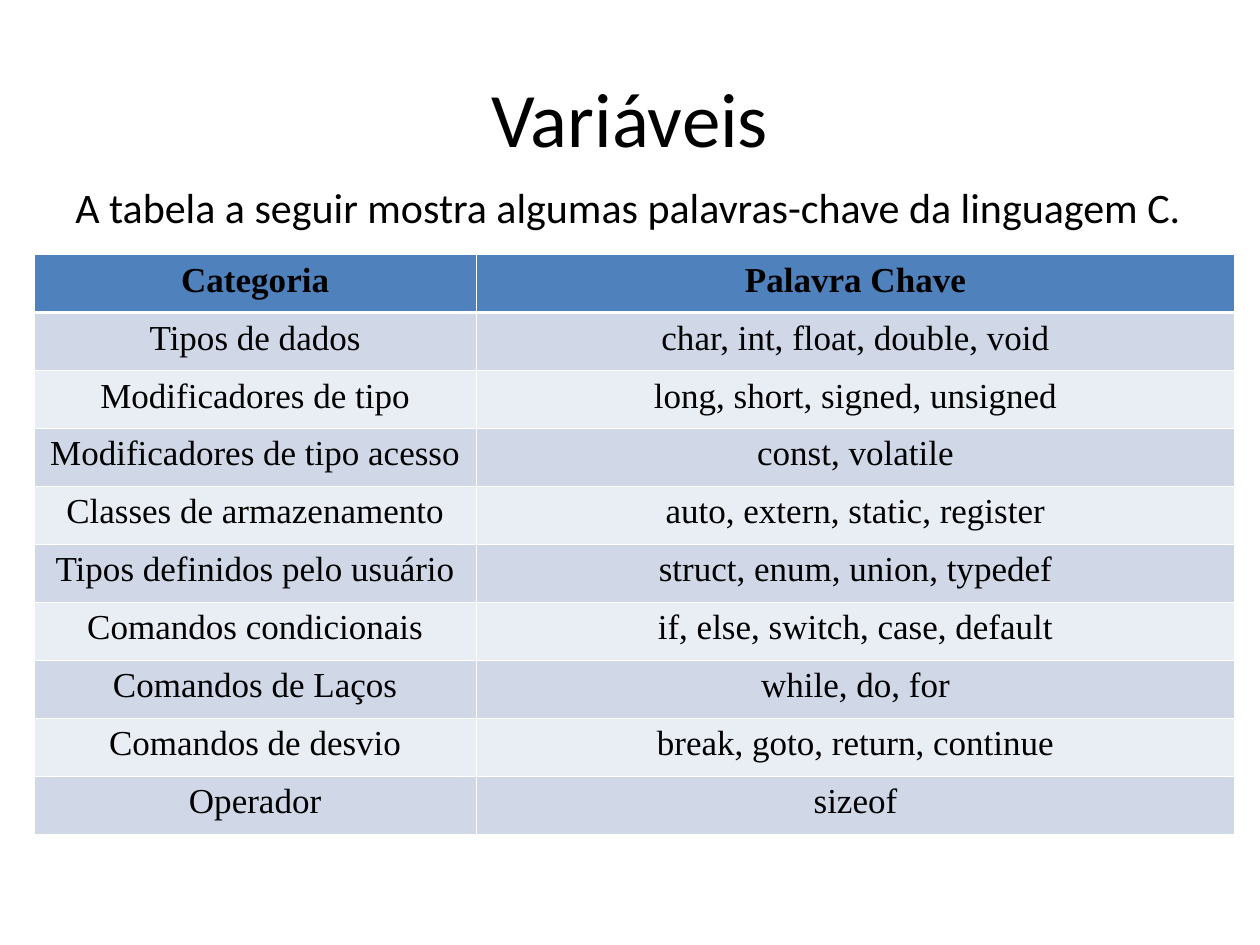
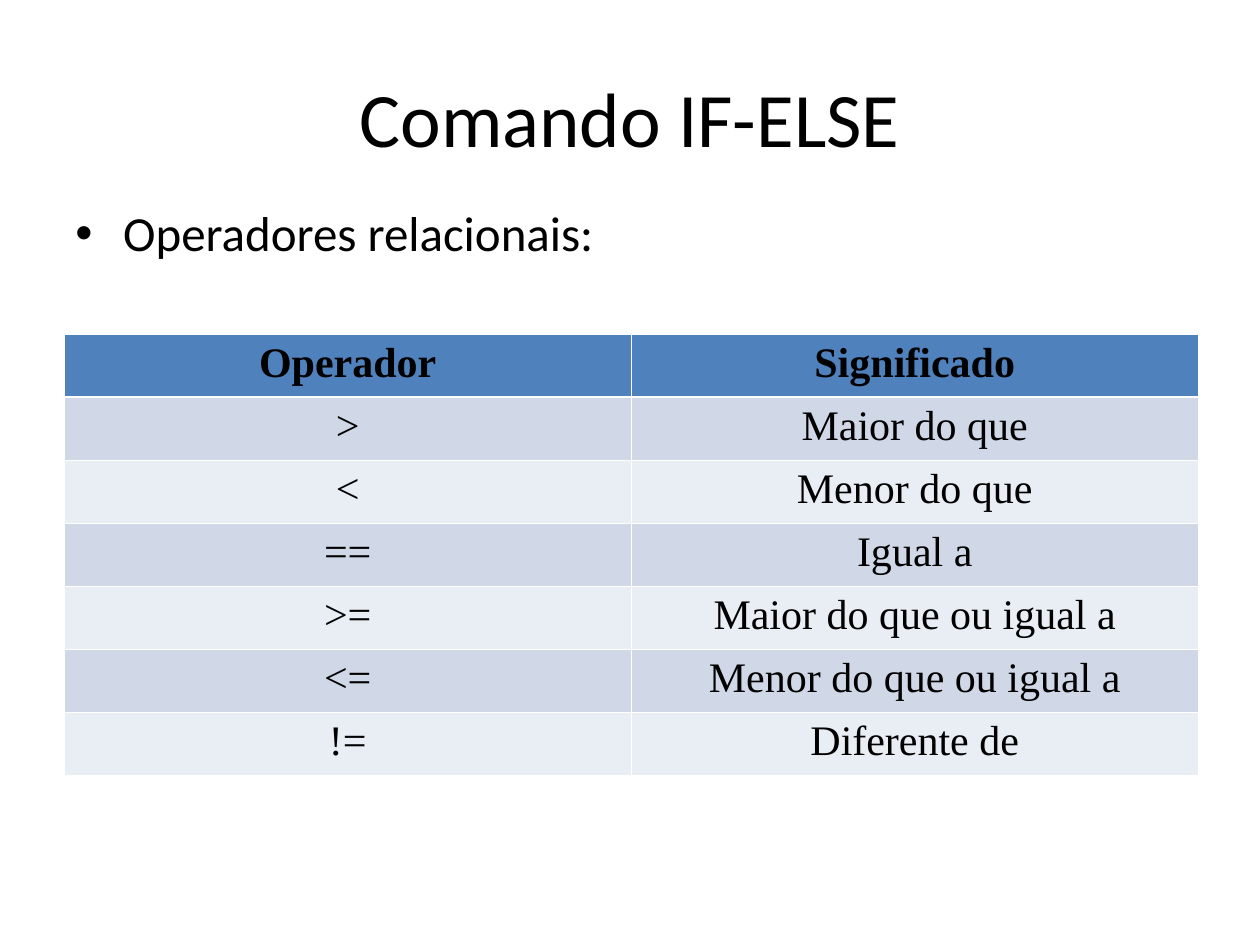
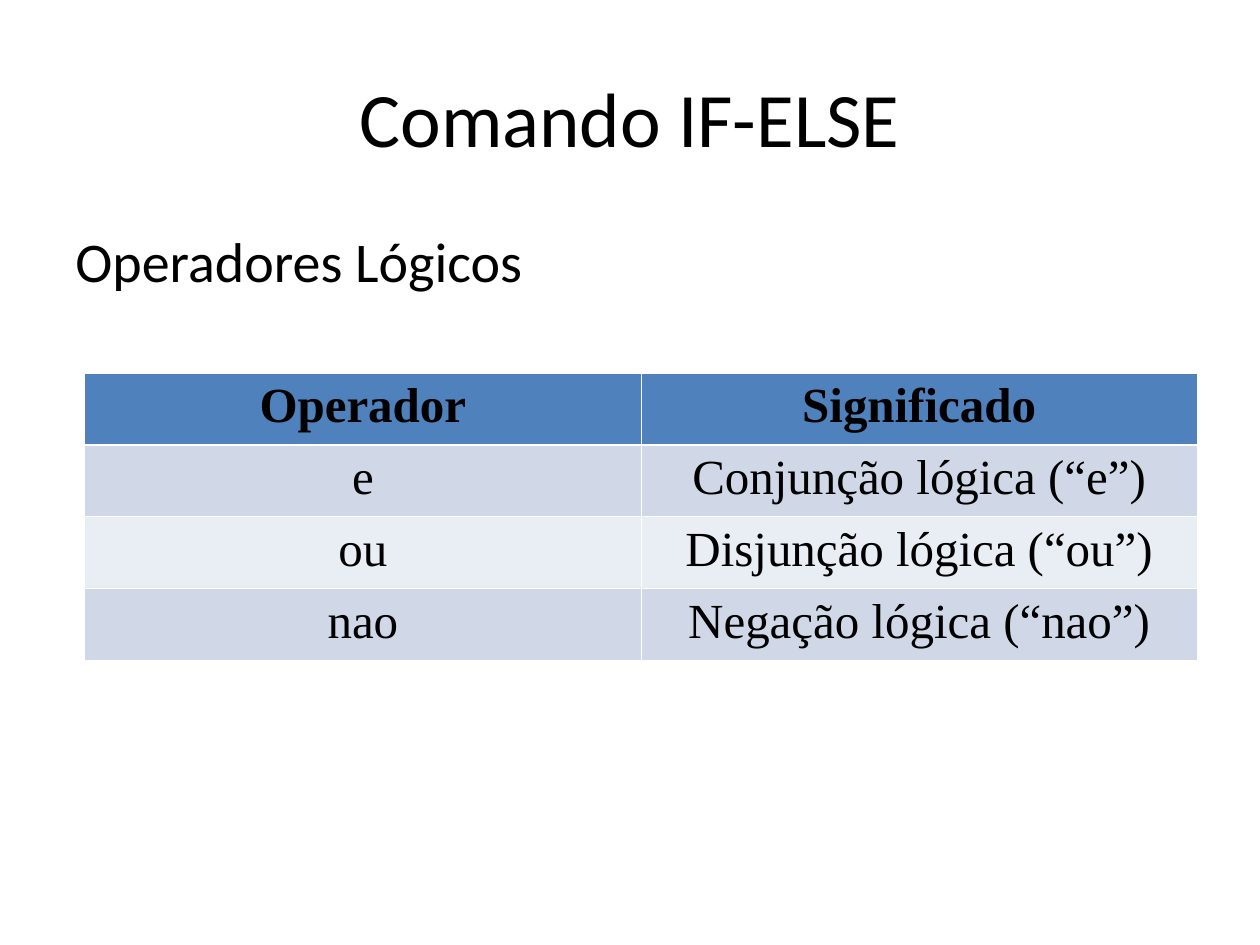
"""Build three slides on C keywords and operators, each with a title, a lead line and a table."""
from lxml.etree import SubElement
from pptx import Presentation
from pptx.dml.color import RGBColor
from pptx.enum.text import MSO_ANCHOR, PP_ALIGN
from pptx.oxml.ns import qn
from pptx.util import Inches, Pt

BLACK, WHITE = "000000", "FFFFFF"
HEADER_FILL = "4F81BD"
BAND_FILLS = ("D0D8E8", "E9EDF4")
THIN, THICK = 0.45, 1.47
TITLE_BOX = (0.5, 0.3, 9, 1.25)
TITLE_FORMAT = {"name": "Calibri", "size": Pt(44)}

SLIDES = [
    {
        "title": "Variáveis",
        "lead": "A tabela a seguir mostra algumas palavras-chave da linguagem C.",
        "lead_box": (0.5, 1.39, 9, 4.95), "lead_size": 24, "bullet": False,
        "table_at": (0.27, 2.02), "columns": (3.51, 6.02), "row_height": 0.46, "cell_size": 20,
        "rows": [
            ("Categoria", "Palavra Chave"),
            ("Tipos de dados", "char, int, float, double, void"),
            ("Modificadores de tipo", "long, short, signed, unsigned"),
            ("Modificadores de tipo acesso", "const, volatile"),
            ("Classes de armazenamento", "auto, extern, static, register"),
            ("Tipos definidos pelo usuário", "struct, enum, union, typedef"),
            ("Comandos condicionais", "if, else, switch, case, default"),
            ("Comandos de Laços", "while, do, for"),
            ("Comandos de desvio", "break, goto, return, continue"),
            ("Operador", "sizeof"),
        ],
    },
    {
        "title": "Comando IF-ELSE",
        "lead": "Operadores relacionais:",
        "lead_box": (0.5, 1.56, 9, 4.95), "lead_size": 28, "bullet": True,
        "table_at": (0.51, 2.65), "columns": (4.5, 4.5), "row_height": 0.5, "cell_size": 24,
        "rows": [
            ("Operador", "Significado"),
            (">", "Maior do que"),
            ("<", "Menor do que"),
            ("==", "Igual a"),
            (">=", "Maior do que ou igual a"),
            ("<=", "Menor do que ou igual a"),
            ("!=", "Diferente de"),
        ],
    },
    {
        "title": "Comando IF-ELSE",
        "lead": "Operadores Lógicos",
        "lead_box": (0.5, 1.75, 9, 3.1), "lead_size": 32, "bullet": False,
        "table_at": (0.67, 2.96), "columns": (4.42, 4.41), "row_height": 0.57, "cell_size": 28,
        "rows": [
            ("Operador", "Significado"),
            ("e", "Conjunção lógica (“e”)"),
            ("ou", "Disjunção lógica (“ou”)"),
            ("nao", "Negação lógica (“nao”)"),
        ],
    },
]


def color(value):
    return RGBColor.from_string(value)


def write(frame, text, font_format, align=PP_ALIGN.LEFT):
    paragraph = frame.paragraphs[0]
    paragraph.alignment = align
    run = paragraph.add_run()
    run.text = text
    for name, value in font_format.items():
        setattr(run.font, name, value)
    run.font.color.rgb = color(BLACK)
    return paragraph


def add_text(slide, box, text, font_format, align=PP_ALIGN.LEFT, anchor=MSO_ANCHOR.TOP):
    frame = slide.shapes.add_textbox(*map(Inches, box)).text_frame
    frame.word_wrap = True
    frame.vertical_anchor = anchor
    return write(frame, text, font_format, align)


def add_bullet(paragraph):
    properties = paragraph._p.get_or_add_pPr()
    properties.set("marL", str(Inches(0.38)))
    properties.set("indent", str(Inches(-0.38)))
    SubElement(properties, qn("a:buFont"), typeface="Arial")
    SubElement(properties, qn("a:buChar"), char="•")


def add_borders(cell, top, bottom):
    properties = cell._tc.get_or_add_tcPr()
    for side, width in {"L": THIN, "R": THIN, "T": top, "B": bottom}.items():
        line = SubElement(properties, qn(f"a:ln{side}"), w=str(Pt(width)))
        fill = SubElement(line, qn("a:solidFill"))
        SubElement(fill, qn("a:srgbClr"), val=WHITE)


def add_table(slide, content):
    rows, widths, height = content["rows"], content["columns"], content["row_height"]
    box = (*content["table_at"], sum(widths), height * len(rows))
    table = slide.shapes.add_table(len(rows), len(widths), *map(Inches, box)).table
    for column, width in zip(table.columns, widths):
        column.width = Inches(width)
    for row_index, texts in enumerate(rows):
        table.rows[row_index].height = Inches(height)
        is_header = row_index == 0
        font_format = {"name": "Times New Roman", "size": Pt(content["cell_size"]), "bold": is_header}
        for column_index, text in enumerate(texts):
            cell = table.cell(row_index, column_index)
            add_borders(cell, THICK if row_index == 1 else THIN, THICK if is_header else THIN)
            cell.fill.solid()
            cell.fill.fore_color.rgb = color(HEADER_FILL if is_header else BAND_FILLS[(row_index - 1) % 2])
            write(cell.text_frame, text, font_format, PP_ALIGN.CENTER)


def main():
    presentation = Presentation()
    presentation.slide_width, presentation.slide_height = Inches(10), Inches(7.5)
    for content in SLIDES:
        slide = presentation.slides.add_slide(presentation.slide_layouts[6])
        add_text(slide, TITLE_BOX, content["title"], TITLE_FORMAT, PP_ALIGN.CENTER, MSO_ANCHOR.MIDDLE)
        lead_format = {"name": "Calibri", "size": Pt(content["lead_size"])}
        lead = add_text(slide, content["lead_box"], content["lead"], lead_format)
        if content["bullet"]:
            add_bullet(lead)
        add_table(slide, content)
    presentation.save("out.pptx")


if __name__ == "__main__":
    main()
